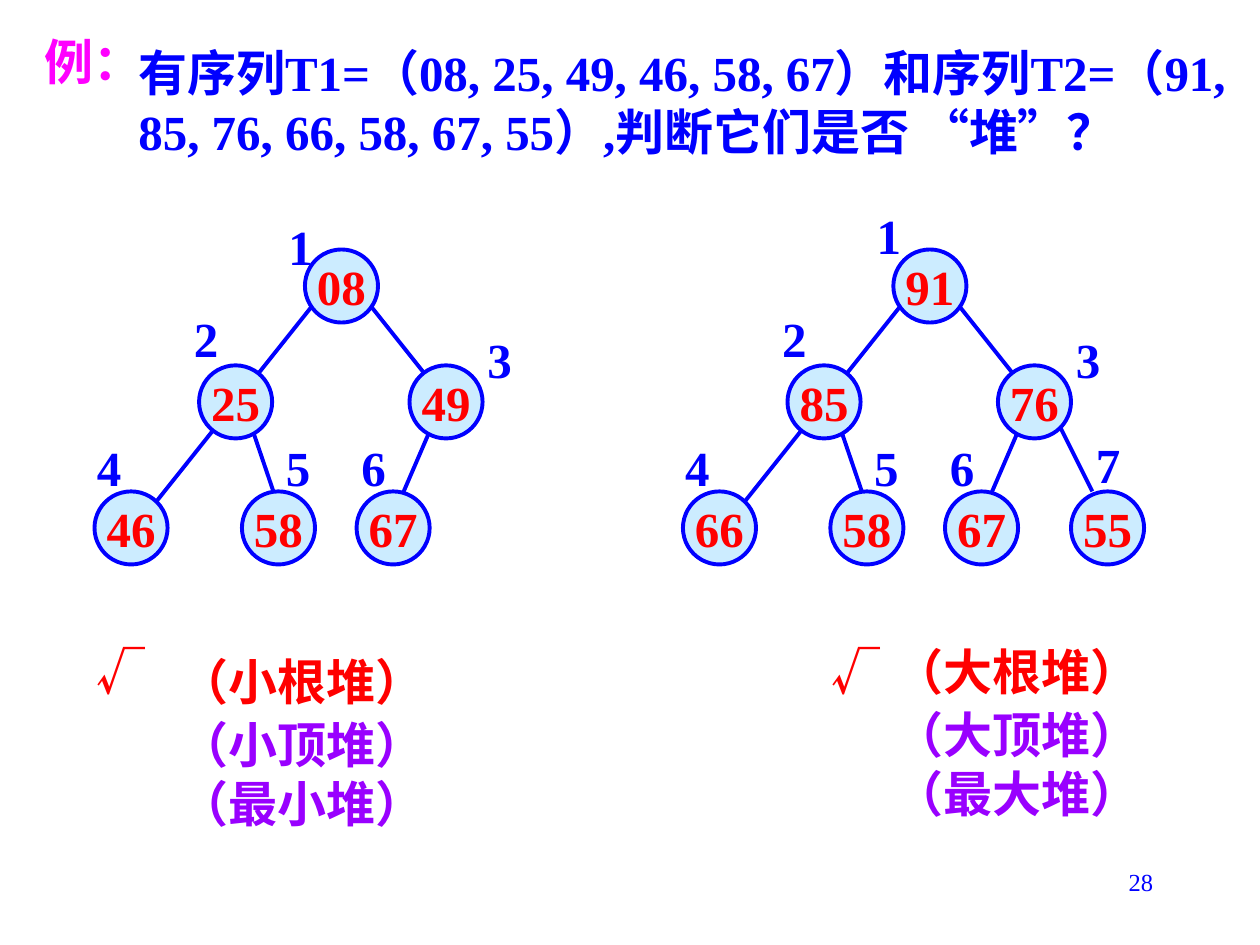
from pptx import Presentation
from pptx.dml.color import RGBColor
from pptx.enum.shapes import MSO_CONNECTOR as Connector, MSO_SHAPE as Shape
from pptx.enum.text import MSO_ANCHOR as Anchor, PP_ALIGN as Align
from pptx.oxml.ns import qn
from pptx.util import Inches, Pt
from lxml.etree import SubElement

BLUE = RGBColor(0x00, 0x00, 0xFF)
RED = RGBColor(0xFF, 0x00, 0x00)
MAGENTA = RGBColor(0xFF, 0x00, 0xFF)
PURPLE = RGBColor(0x99, 0x00, 0xFF)
PALE_BLUE = RGBColor(0xCC, 0xEC, 0xFF)

SERIF = "Times New Roman"
CJK = "Noto Sans CJK SC"
CJK_INSET = 0.09
DIAMETER = 0.58
TREE_SHIFT = 4.67

NODE_SPOTS = [(2.42, 1.98), (1.58, 2.9), (3.25, 2.9), (0.75, 3.9),
              (1.92, 3.9), (2.83, 3.9), (3.83, 3.9)]
INDEX_SPOTS = [(2.19, 1.67), (1.44, 2.4), (3.77, 2.57), (0.67, 3.42),
               (2.17, 3.42), (2.77, 3.42), (3.93, 3.4)]
BRANCHES = [((2.5, 2.4), (1.17, 4.07)), ((2.92, 2.4), (3.58, 3.23)),
            ((2, 3.4), (2.17, 3.9)), ((3.42, 3.4), (3.17, 3.98)),
            ((3.75, 3.4), (4, 3.9))]


def write(frame, text, color, font=SERIF, size=28, bold=True, align=Align.LEFT):
    """Fill a text frame and format all its runs alike."""
    frame.text = text
    for paragraph in frame.paragraphs:
        paragraph.alignment = align
        paragraph.line_spacing = Pt(size * 1.2)
        for run in paragraph.runs:
            run.font.name, run.font.size, run.font.bold = font, Pt(size), bold
            run.font.color.rgb = color
            SubElement(run.font._element, qn("a:ea")).set("typeface", CJK)


def add_text(shapes, box, text, color, wrap=False, inset=0.05, **style):
    """Add a text box at left, top, width, height in inches."""
    frame = shapes.add_textbox(*map(Inches, box)).text_frame
    frame.word_wrap = wrap
    frame.margin_top = Inches(inset)
    write(frame, text, color, **style)


def add_branch(shapes, start, end, shift):
    """Draw a tree edge without a shadow."""
    branch = shapes.add_connector(
        Connector.STRAIGHT, Inches(start[0] + shift), Inches(start[1]),
        Inches(end[0] + shift), Inches(end[1]))
    branch.line.color.rgb = BLUE
    branch.line.width = Pt(2.25)
    SubElement(branch._element.spPr, qn("a:effectLst"))


def add_node(shapes, left, top, key):
    """Draw a tree node holding its key."""
    node = shapes.add_shape(Shape.OVAL, Inches(left), Inches(top),
                            Inches(DIAMETER), Inches(DIAMETER))
    node.shadow.inherit = False
    node.fill.solid()
    node.fill.fore_color.rgb = PALE_BLUE
    node.line.color.rgb = BLUE
    node.line.width = Pt(2.25)
    node.text_frame.word_wrap = False
    node.text_frame.vertical_anchor = Anchor.MIDDLE
    write(node.text_frame, key, RED, align=Align.CENTER)


def add_tree(slide, keys, shift=0, root_lift=0):
    """Draw a heap as a group of edges, nodes and index labels."""
    shapes = slide.shapes.add_group_shape().shapes
    for start, end in BRANCHES[:len(keys) - 2]:
        add_branch(shapes, start, end, shift)
    for key, (left, top) in zip(keys, NODE_SPOTS):
        add_node(shapes, left + shift, top, key)
    for index, (left, top) in enumerate(INDEX_SPOTS[:len(keys)], start=1):
        lift = root_lift if index == 1 else 0
        add_text(shapes, (left + shift, top - lift, 0.4, 0.57), str(index), BLUE)


def add_verdict(slide, tick_left, names_left, top, kind, synonyms):
    """Add the tick, the heap kind and its other names."""
    for box, text, color in [
            ((tick_left, 5, 0.59, 0.57), "√", RED),
            ((names_left, top, 2.15, 0.57), kind, RED),
            ((names_left, top + 0.5, 2.15, 1.03), synonyms, PURPLE)]:
        add_text(slide.shapes, box, text, color, font=CJK, inset=CJK_INSET)


def add_title(slide, text):
    """Place and format the title placeholder."""
    title = slide.shapes.title
    title.left, title.top = Inches(0.25), Inches(0.25)
    title.width, title.height = Inches(1.17), Inches(0.42)
    title.text_frame.vertical_anchor = Anchor.MIDDLE
    title.text_frame.margin_top = Inches(CJK_INSET)
    write(title.text_frame, text, MAGENTA)


def main():
    """Build the heap example slide."""
    deck = Presentation()
    deck.slide_width, deck.slide_height = Inches(10), Inches(7.5)
    slide = deck.slides.add_slide(deck.slide_layouts[5])
    add_title(slide, "例：")
    add_text(slide.shapes, (1, 0.25, 8.83, 1.03),
             "有序列T1=（08, 25, 49, 46, 58, 67）和序列T2="
             "（91, 85, 76, 66, 58, 67, 55）,判断它们是否 “堆”？",
             BLUE, wrap=True, inset=CJK_INSET)
    add_tree(slide, ["08", "25", "49", "46", "58", "67"])
    add_tree(slide, ["91", "85", "76", "66", "58", "67", "55"],
             TREE_SHIFT, root_lift=0.09)
    add_verdict(slide, 0.67, 1.33, 5.08, "（小根堆）", "（小顶堆）\n（最小堆）")
    add_verdict(slide, 6.5, 7, 5, "（大根堆）", "（大顶堆）\n（最大堆）")
    add_text(slide.shapes, (7.17, 6.83, 2.08, 0.5), "28", BLUE, wrap=True,
             size=14, bold=False, align=Align.RIGHT)
    deck.save("out.pptx")


if __name__ == "__main__":
    main()
